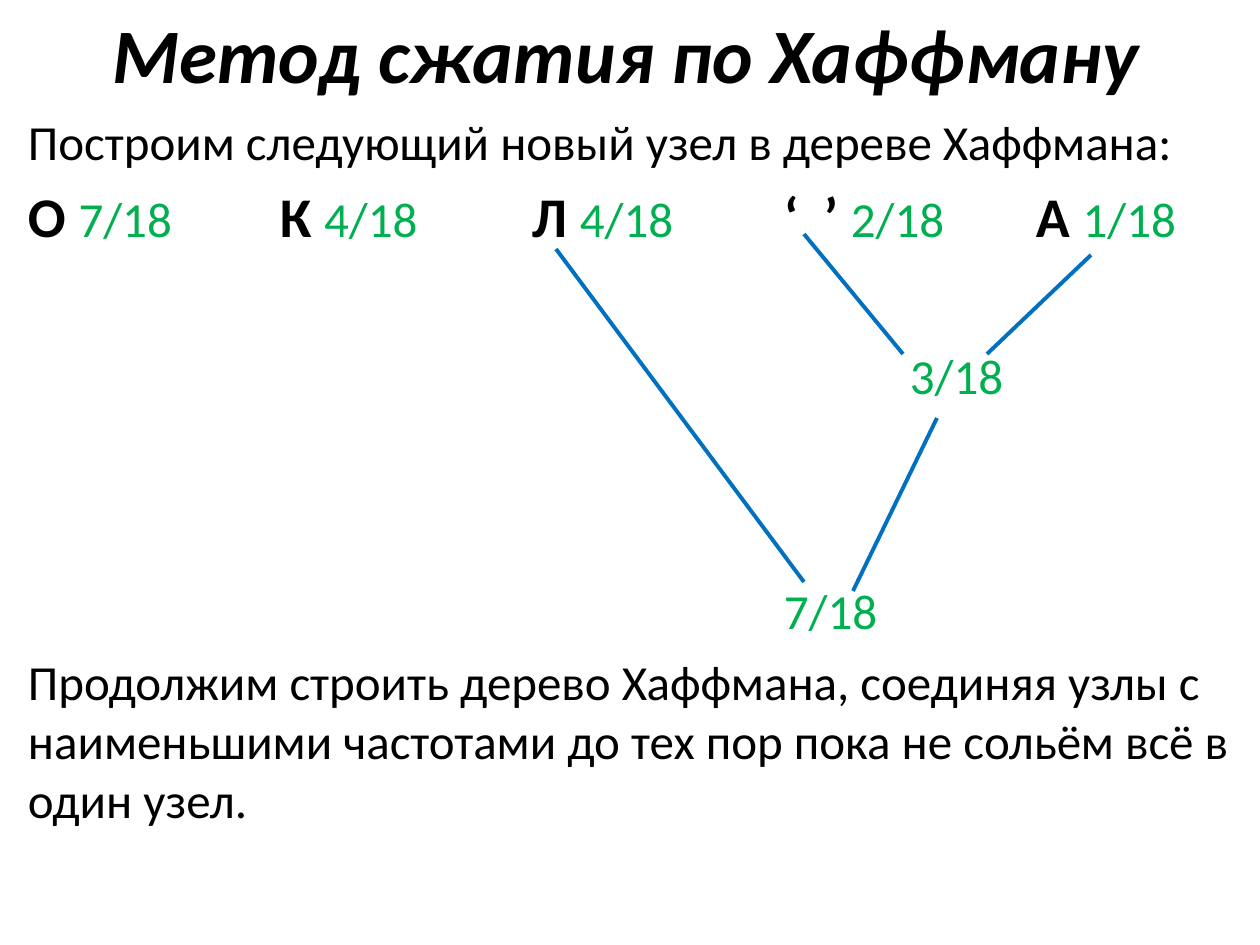
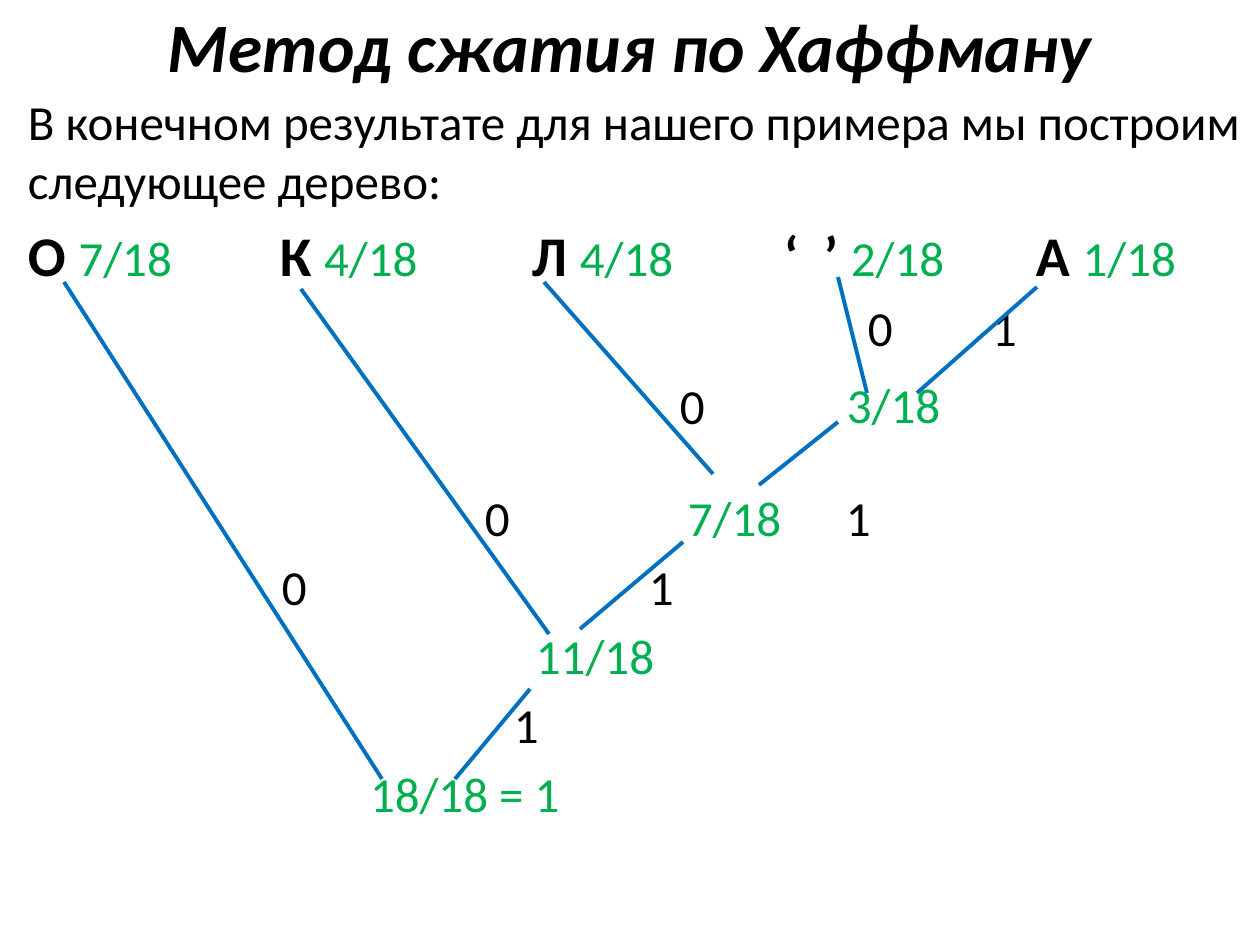
from lxml import etree
from pptx import Presentation
from pptx import util as u
from pptx.dml import color
from pptx.enum import shapes, text
from pptx.oxml import ns

FONT = "Calibri"
BLACK, WHITE, GREEN, BLUE = "000000", "FFFFFF", "00B050", "0070C0"
SLIDE_SIZE = (1260, 945)
BODY_LEFT, INSET, LEAF_STEP = 15, 13, 252
TITLE = "Метод сжатия по Хаффману"
LEAVES = [("О", "7/18"), ("К", "4/18"), ("Л", "4/18"), ("‘  ’", "2/18"), ("А", "1/18")]


def px(length):
    """Turn pixels into EMU."""
    return u.Emu(round(length * 914400 / 126))


def rgb(value):
    """Turn a hex string into a colour."""
    return color.RGBColor.from_string(value)


def add_run(paragraph, content, size=28, colour=BLACK, bold=False, italic=False):
    """Add formatted text to a paragraph."""
    run = paragraph.add_run()
    run.text = content
    font = run.font
    font.name, font.size, font.bold, font.italic = FONT, u.Pt(size), bold, italic
    font.color.rgb = rgb(colour)


def add_text(slide, box, content, align=text.PP_ALIGN.LEFT, anchor=text.MSO_ANCHOR.TOP,
             inset=(INSET, 6), wrap=True, fill=None, **font_format):
    """Add a text box with one formatted paragraph and return it."""
    shape = slide.shapes.add_textbox(*map(px, box))
    if fill:
        shape.fill.solid()
        shape.fill.fore_color.rgb = rgb(fill)
    frame = shape.text_frame
    frame.word_wrap = wrap
    frame.vertical_anchor = anchor
    frame.margin_left = frame.margin_right = px(inset[0])
    frame.margin_top = frame.margin_bottom = px(inset[1])
    paragraph = frame.paragraphs[0]
    paragraph.alignment = align
    add_run(paragraph, content, **font_format)
    return shape


def add_title(slide, box, size):
    """Add the shared slide title."""
    add_text(slide, box, TITLE, align=text.PP_ALIGN.CENTER, anchor=text.MSO_ANCHOR.MIDDLE,
             size=size, bold=True, italic=True)


def set_tabs(paragraph, step, count):
    """Give a paragraph evenly spaced left tab stops."""
    stops = etree.SubElement(paragraph._p.get_or_add_pPr(), ns.qn("a:tabLst"))
    for number in range(1, count + 1):
        etree.SubElement(stops, ns.qn("a:tab"), pos=str(int(px(step * number))), algn="l")


def add_body(slide, box, intro, fill=None):
    """Add the introduction and, below it, the row of tree leaves."""
    body = add_text(slide, box, intro, fill=fill)
    row = body.text_frame.add_paragraph()
    row.space_before = u.Pt(6)
    set_tabs(row, LEAF_STEP, len(LEAVES) - 1)
    for index, (symbol, frequency) in enumerate(LEAVES):
        if index:
            add_run(row, "\t", size=32)
        add_run(row, f"{symbol} ", size=32, bold=True)
        add_run(row, frequency, colour=GREEN)


def add_labels(slide, labels, colour):
    """Add tree labels given as content, left edge and middle height."""
    for content, left, middle in labels:
        add_text(slide, (left, middle - 33, 26 * len(content), 60), content,
                 inset=(0, 0), wrap=False, colour=colour)


def add_branches(slide, branches):
    """Draw the tree branches as straight lines."""
    for ends in branches:
        line = slide.shapes.add_connector(shapes.MSO_CONNECTOR.STRAIGHT, *map(px, ends))
        line.line.color.rgb = rgb(BLUE)
        line.line.width = u.Pt(2.25)
        etree.SubElement(line._element.spPr, ns.qn("a:effectLst"))


def build_next_node(slide):
    """Show the next node joined to the tree."""
    add_title(slide, (59, 0, 1134, 106), 44)
    add_body(slide, (BODY_LEFT, 106, 1230, 150),
             "Построим следующий новый узел в дереве Хаффмана:")
    add_labels(slide, [("3/18", 910, 379), ("7/18", 784, 614)], GREEN)
    add_text(slide, (BODY_LEFT, 646, 1230, 190),
             "Продолжим строить дерево Хаффмана, соединяя узлы с наименьшими "
             "частотами до тех пор пока не сольём всё в один узел.")
    add_branches(slide, [
        (804, 234, 903, 354), (1091, 255, 987, 354),
        (556, 249, 804, 582), (937, 418, 853, 591),
    ])


def build_full_tree(slide):
    """Show the finished tree with its branch codes."""
    add_title(slide, (63, 4, 1134, 82), 39.6)
    add_body(slide, (BODY_LEFT, 86, 1240, 820),
             "В конечном результате для нашего примера мы построим следующее дерево:",
             fill=WHITE)
    add_labels(slide, [("3/18", 847, 408), ("7/18", 688, 521),
                       ("11/18", 536, 659), ("18/18 = 1", 370, 797)], GREEN)
    add_labels(slide, [("0", 868, 331), ("1", 992, 331), ("0", 680, 409),
                       ("0", 485, 521), ("1", 846, 521), ("0", 282, 590),
                       ("1", 649, 590), ("1", 514, 728)], BLACK)
    add_branches(slide, [
        (1037, 287, 917, 393), (838, 277, 867, 393),
        (838, 422, 759, 485), (544, 282, 713, 474),
        (683, 542, 580, 629), (301, 289, 549, 634),
        (64, 282, 382, 779), (530, 689, 455, 779),
    ])


def main():
    """Build and save the presentation."""
    presentation = Presentation()
    presentation.slide_width, presentation.slide_height = map(px, SLIDE_SIZE)
    for build in (build_next_node, build_full_tree):
        build(presentation.slides.add_slide(presentation.slide_layouts[6]))
    presentation.save("out.pptx")


if __name__ == "__main__":
    main()
